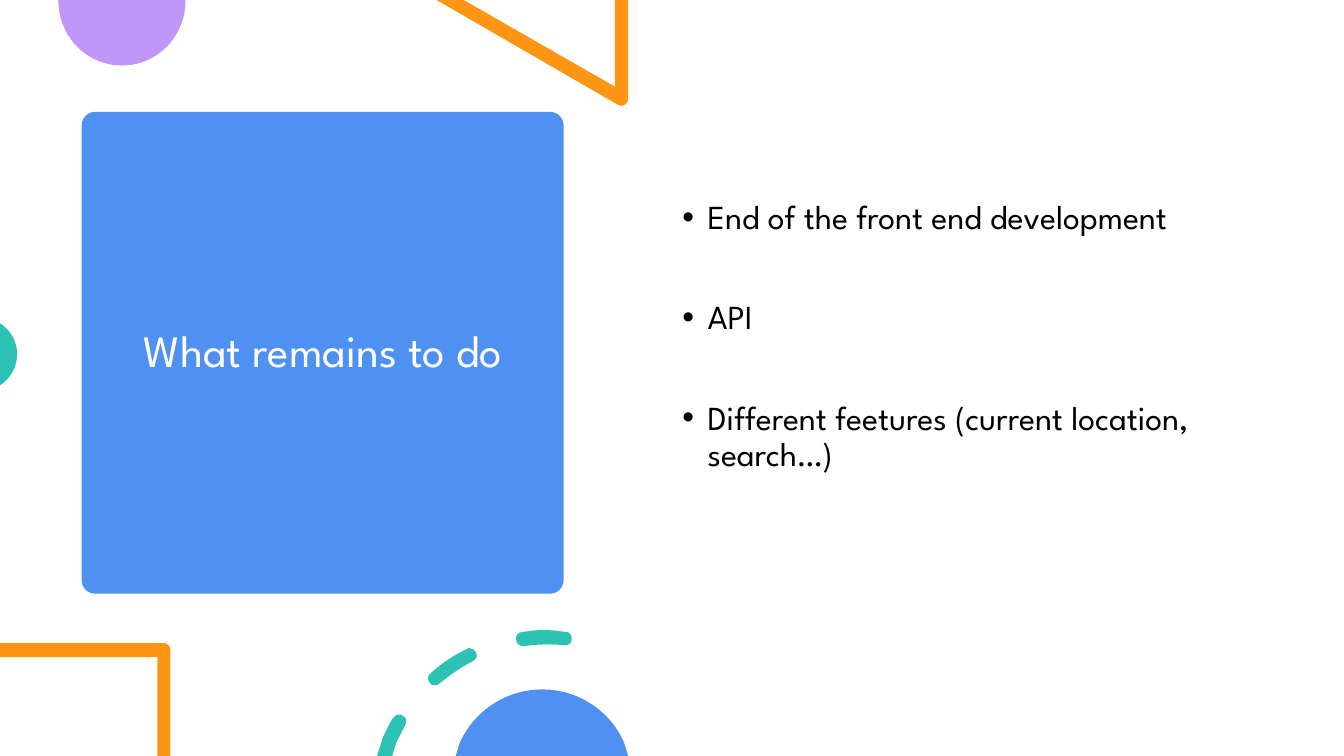
from dataclasses import dataclass

from lxml.etree import SubElement
from pptx import Presentation
from pptx.dml.color import RGBColor
from pptx.enum.shapes import MSO_SHAPE
from pptx.enum.text import MSO_ANCHOR, PP_ALIGN
from pptx.oxml.ns import qn
from pptx.util import Inches, Pt


@dataclass(frozen=True)
class Theme:
    font: str = "League Spartan"
    title_size: int = 32
    body_size: int = 24
    white: str = "FFFFFF"
    black: str = "000000"
    blue: str = "4E91F0"
    purple: str = "C097F8"
    orange: str = "FF9514"
    teal: str = "2CC3B4"


THEME = Theme()
WIDTH, HEIGHT = 13.33, 7.5

# Content
TITLE = "What remains to do"
TASKS = [
    "End of the front end development",
    "API",
    "Different feetures (current location, search…)",
]

# Layout: left, top, width, height in inches
CARD = (0.81, 1.11, 4.78, 4.78)
TITLE_BOX = (1.05, 1.22, 4.31, 4.56)
TASK_BOX = (6.67, 0.9, 5.75, 5.35)
TASK_INSET = 1.09  # inches above the first task
TASK_GAP = 45.7    # points between tasks
INDENT = 0.25

# Outlines: a pair is a corner, six numbers are a Bezier curve
PURPLE_CIRCLE = [[(1.84, 0), (0.58, 0), (0.58, 0.01),
                  (0.58, 0.36, 0.86, 0.65, 1.21, 0.65),
                  (1.56, 0.65, 1.84, 0.36, 1.84, 0.01)]]
TRIANGLE = [[(6.23, 0), (6.1, 0), (6.1, 0.86), (4.6, 0), (4.33, 0), (6.13, 1.04),
             (6.14, 1.05, 6.15, 1.05, 6.16, 1.05),
             (6.2, 1.05, 6.23, 1.02, 6.23, 0.98)]]
TEAL_CIRCLE = [[(0, 3.21), (0, 3.82), (0.02, 3.81),
                (0.11, 3.74, 0.17, 3.64, 0.17, 3.51),
                (0.17, 3.39, 0.11, 3.29, 0.02, 3.22)]]
SQUARE = [[(1.63, 6.38), (0, 6.38), (0, 6.52), (1.56, 6.52), (1.56, HEIGHT),
           (1.69, HEIGHT), (1.69, 6.45), (1.69, 6.41, 1.66, 6.38, 1.63, 6.38)]]
DASHED_RING = [
    [(3.97, 7.09), (3.94, 7.08, 3.92, 7.1, 3.9, 7.12),
     (3.86, 7.18, 3.83, 7.25, 3.8, 7.31), (3.74, HEIGHT), (3.89, HEIGHT), (3.93, 7.37),
     (3.96, 7.31, 3.99, 7.25, 4.02, 7.19), (4.04, 7.16, 4.03, 7.11, 3.99, 7.1),
     (3.99, 7.09, 3.98, 7.09, 3.97, 7.09)],
    [(4.65, 6.43), (4.65, 6.43, 4.64, 6.43, 4.63, 6.44),
     (4.5, 6.5, 4.38, 6.58, 4.27, 6.68), (4.24, 6.7, 4.24, 6.75, 4.26, 6.77),
     (4.27, 6.79, 4.29, 6.8, 4.31, 6.8), (4.33, 6.8, 4.35, 6.79, 4.36, 6.78),
     (4.46, 6.7, 4.57, 6.62, 4.69, 6.56), (4.73, 6.54, 4.74, 6.5, 4.72, 6.47),
     (4.71, 6.44, 4.68, 6.43, 4.65, 6.43)],
    [(5.4, 6.25), (5.32, 6.25, 5.25, 6.26, 5.18, 6.27),
     (5.14, 6.27, 5.11, 6.31, 5.12, 6.35), (5.12, 6.38, 5.15, 6.41, 5.19, 6.41),
     (5.19, 6.41, 5.19, 6.41, 5.2, 6.41), (5.33, 6.39, 5.46, 6.39, 5.6, 6.4),
     (5.63, 6.41, 5.67, 6.38, 5.67, 6.35), (5.68, 6.31, 5.65, 6.27, 5.62, 6.27),
     (5.62, 6.27, 5.61, 6.27, 5.61, 6.27), (5.54, 6.26, 5.47, 6.25, 5.4, 6.25)],
]
BLUE_CIRCLE = [[(5.38, 6.84), (5.01, 6.84, 4.7, 7.06, 4.56, 7.37), (4.52, HEIGHT),
                (6.23, HEIGHT), (6.19, 7.37), (6.06, 7.06, 5.74, 6.84, 5.38, 6.84)]]
EDGE_SHAPES = [
    (PURPLE_CIRCLE, THEME.purple),
    (TRIANGLE, THEME.orange),
    (TEAL_CIRCLE, THEME.teal),
    (SQUARE, THEME.orange),
    (DASHED_RING, THEME.teal),
    (BLUE_CIRCLE, THEME.blue),
]


def inches(box):
    return [Inches(length) for length in box]


def paint(shape, color):
    shape.shadow.inherit = False
    shape.fill.solid()
    shape.fill.fore_color.rgb = RGBColor.from_string(color)
    shape.line.fill.background()


def draw_outlines(slide, outlines, color):
    """Join the end points with lines, then bend the lines that are curves."""
    builder = slide.shapes.build_freeform(*inches(outlines[0][0]))
    for index, outline in enumerate(outlines):
        if index:
            builder.move_to(*inches(outline[0]))
        builder.add_line_segments([inches(part[-2:]) for part in outline[1:]], close=True)
    shape = builder.convert_to_shape()
    paint(shape, color)

    parts = [part for outline in outlines for part in outline[1:]]
    for segment, part in zip(list(shape._element.iter(qn("a:lnTo"))), parts):
        if len(part) == 2:
            continue
        curve = segment.getparent().makeelement(qn("a:cubicBezTo"))
        for x, y in zip(part[::2], part[1::2]):
            point = SubElement(curve, qn("a:pt"))
            point.set("x", str(Inches(x) - shape.left))
            point.set("y", str(Inches(y) - shape.top))
        segment.getparent().replace(segment, curve)


def style(paragraph, size, color):
    paragraph.line_spacing = 0.9
    for run in paragraph.runs:
        run.font.name = THEME.font
        run.font.size = Pt(size)
        run.font.color.rgb = RGBColor.from_string(color)


def add_bullet(paragraph):
    properties = paragraph._p.get_or_add_pPr()
    properties.set("marL", str(Inches(INDENT)))
    properties.set("indent", str(-Inches(INDENT)))
    SubElement(properties, qn("a:buFont")).set("typeface", "Arial")
    SubElement(properties, qn("a:buChar")).set("char", "•")


def main():
    deck = Presentation()
    deck.slide_width, deck.slide_height = Inches(WIDTH), Inches(HEIGHT)
    slide = deck.slides.add_slide(deck.slide_layouts[5])

    # Title on its card
    card = slide.shapes.add_shape(MSO_SHAPE.ROUNDED_RECTANGLE, *inches(CARD))
    card.adjustments[0] = 0.028
    paint(card, THEME.blue)
    title = slide.shapes.title
    title.left, title.top, title.width, title.height = inches(TITLE_BOX)
    title.text_frame.text = TITLE
    title.text_frame.vertical_anchor = MSO_ANCHOR.MIDDLE
    heading = title.text_frame.paragraphs[0]
    heading.alignment = PP_ALIGN.CENTER
    style(heading, THEME.title_size, THEME.white)
    card._element.addnext(title._element)  # bring the title in front of the card

    # Shapes along the edges
    for outlines, color in EDGE_SHAPES:
        draw_outlines(slide, outlines, color)

    # Remaining tasks
    tasks = slide.shapes.add_textbox(*inches(TASK_BOX)).text_frame
    tasks.word_wrap = True
    tasks.margin_top = Inches(TASK_INSET)
    tasks.text = "\n".join(TASKS)
    for index, task in enumerate(tasks.paragraphs):
        style(task, THEME.body_size, THEME.black)
        task.space_before = Pt(TASK_GAP if index else 0)
        add_bullet(task)

    deck.save("out.pptx")


if __name__ == "__main__":
    main()
